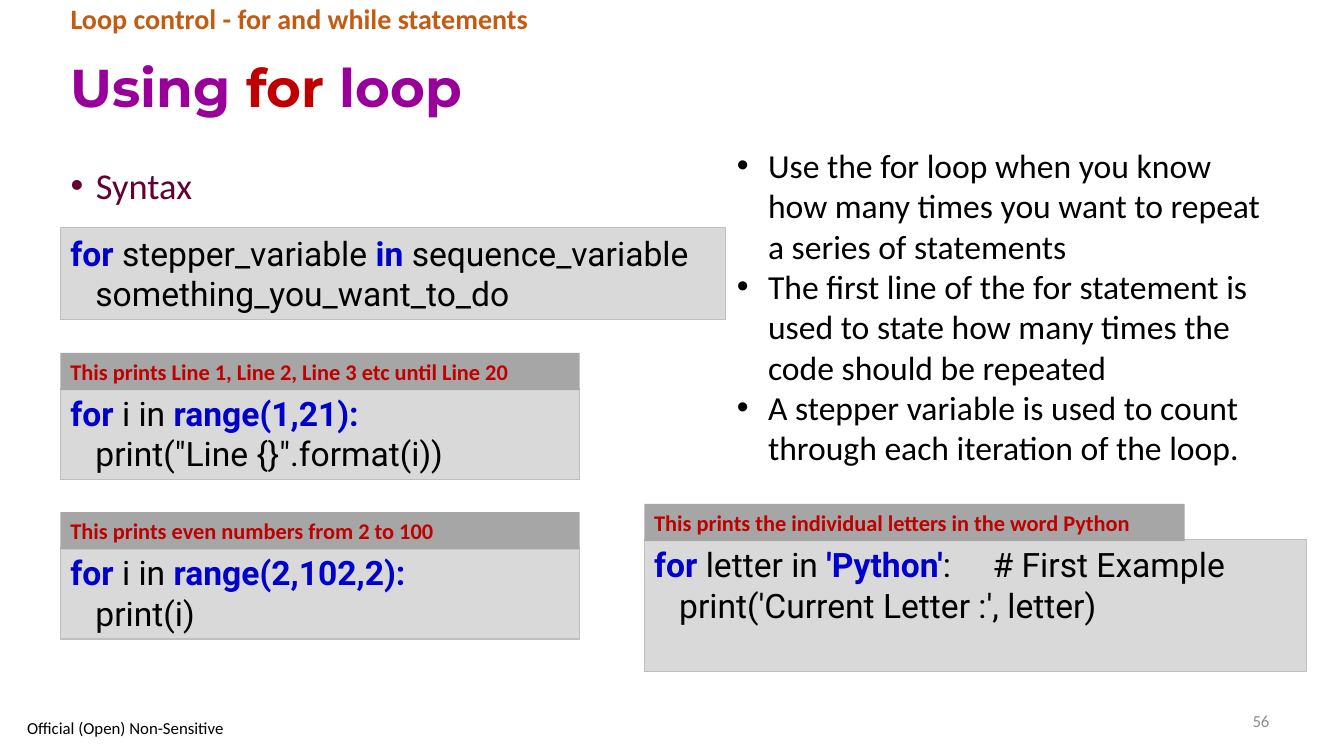
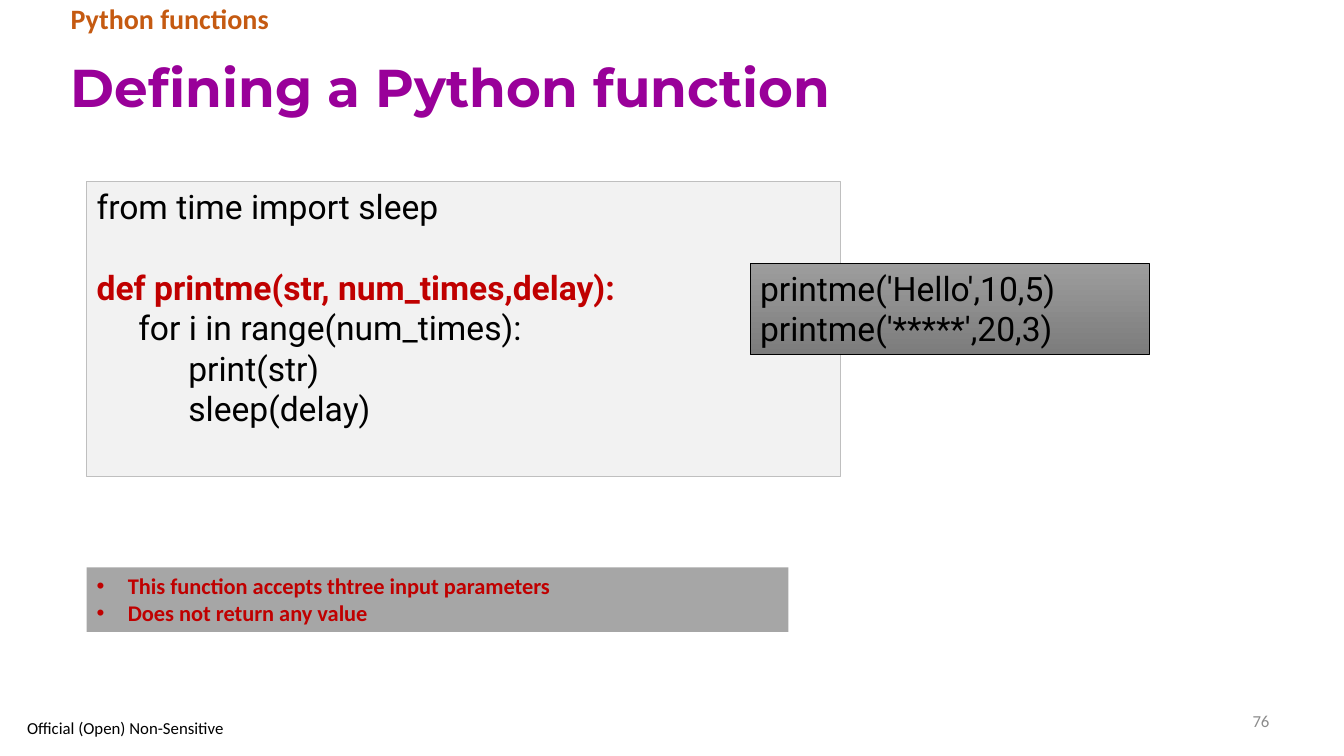
from pptx import Presentation
from pptx.dml.color import RGBColor
from pptx.enum.shapes import MSO_SHAPE as Shape
from pptx.enum.text import MSO_ANCHOR as Anchor, MSO_AUTO_SIZE as AutoSize, PP_ALIGN as Align
from pptx.oxml.ns import qn
from pptx.util import Inches, Pt
from lxml.etree import SubElement

COLORS = {
    "purple": "990099", "red": "C00000", "orange": "C55A11", "plum": "660033",
    "blue": "0000CC", "black": "000000", "number": "8C8C8C",
    "label": "A6A6A6", "code": "D9D9D9", "paper": "F2F2F2", "edge": "BFBFBF",
    "call_top": "9D9D9D", "call_bottom": "7C7C7C",
}

STYLES = {
    "title": ("Montserrat", 38, "purple", True),
    "title_key": ("Montserrat", 38, "red", True),
    "kicker": ("Calibri", 20, "orange", True),
    "topic": ("Calibri", 26, "plum", False),
    "point": ("Calibri", 24, "black", False),
    "label": ("Calibri", 16, "red", True),
    "footer": ("Calibri", 12, "black", False),
    "number": ("Calibri", 12, "number", False),
    "code": ("Roboto", 24, "black", False),
    "key": ("Roboto", 24, "blue", True),
    "def": ("Roboto", 24, "red", True),
}

TITLE_BOX = (0.6, 0.41, 12.09, 0.97)
KICKER_BOX = (0.6, 0, 10.34, 0.41)
TOPIC_BOX = (0.6, 1.57, 12.09, 0.74)
POINTS_BOX = (7.21, 1.39, 5.47, 3.33)
NUMBER_BOX = (9.42, 6.95, 3.27, 0.4)
FOOTER_BOX = (0.17, 7.09, 2.24, 0.26)
FOOTER = "Official (Open) Non-Sensitive"
LABEL_HEIGHT = 0.37

SYNTAX = [
    [("for", "key"), (" stepper_variable ", "code"), ("in", "key"), (" sequence_variable", "code")],
    [("   something_you_want_to_do", "code")],
]
LOOP_POINTS = [
    "Use the for loop when you know how many times you want to repeat a series of statements",
    "The first line of the for statement is used to state how many times the code should be repeated",
    "A stepper variable is used to count through each iteration of the loop.",
]
EXAMPLES = [
    ("This prints Line 1, Line 2, Line 3 etc until Line 20", (0.6, 3.85, 5.15, 0.91), 5.15, [
        [("for", "key"), (" i in ", "code"), ("range(1,21):", "key")],
        [('   print("Line {}".format(i))', "code")],
    ]),
    ("This prints even numbers from 2 to 100", (0.6, 5.43, 5.15, 0.91), 5.15, [
        [("for", "key"), (" i in ", "code"), ("range(2,102,2):", "key")],
        [("   print(i)", "code")],
    ]),
    ("This prints the individual letters in the word Python", (6.39, 5.35, 6.57, 1.31), 5.36, [
        [("for", "key"), (" letter in ", "code"), ("'Python'", "key"), (":     # First Example", "code")],
        [("   print('Current Letter :', letter)", "code")],
    ]),
]
FUNCTION = [
    [("from time import sleep", "code")],
    [("", "code")],
    [("def printme(str, num_times,delay):", "def")],
    [("     for i in range(num_times):", "code")],
    [("           print(str)", "code")],
    [("           sleep(delay)", "code")],
]
CALLS = [[("printme('Hello',10,5)", "code")], [("printme('*****',20,3)", "code")]]
FUNCTION_NOTES = ["This function accepts thtree input parameters", "Does not return any value"]


def color(name):
    return RGBColor.from_string(COLORS[name])


def plain(lines, style):
    return [[(line, style)] for line in lines]


def style_font(font, style):
    font.name, size, ink, font.bold = STYLES[style]
    font.size = Pt(size)
    font.color.rgb = color(ink)


def set_bullet(paragraph, indent):
    properties = paragraph._p.get_or_add_pPr()
    properties.set("marL", str(Inches(indent)))
    properties.set("indent", str(-Inches(indent)))
    if indent:
        SubElement(properties, qn("a:buFont"), typeface="Arial")
        SubElement(properties, qn("a:buChar"), char="•")
    else:
        SubElement(properties, qn("a:buNone"))


def write(shape, lines, indent=0, align=Align.LEFT, anchor=Anchor.TOP, spacing=1.0):
    frame = shape.text_frame
    frame.word_wrap = True
    frame.auto_size = AutoSize.NONE
    frame.vertical_anchor = anchor
    for index, line in enumerate(lines):
        paragraph = frame.add_paragraph() if index else frame.paragraphs[0]
        set_bullet(paragraph, indent)
        paragraph.alignment = align
        paragraph.line_spacing = spacing
        paragraph.space_before = Pt(0)
        style_font(paragraph.font, line[0][1])
        for text, style in line:
            if text:
                run = paragraph.add_run()
                run.text = text
                style_font(run.font, style)


def place(shape, box):
    shape.left, shape.top, shape.width, shape.height = map(Inches, box)
    return shape


def add_text(slide, box, lines, **layout):
    write(slide.shapes.add_textbox(*map(Inches, box)), lines, **layout)


def add_panel(slide, box, lines, fill, edge=None, width=0.75, indent=0):
    panel = slide.shapes.add_shape(Shape.RECTANGLE, *map(Inches, box))
    panel.shadow.inherit = False
    if isinstance(fill, tuple):
        panel.fill.gradient()
        panel.fill.gradient_angle = 270
        for stop, name in zip(panel.fill.gradient_stops, fill):
            stop.color.rgb = color(name)
    else:
        panel.fill.solid()
        panel.fill.fore_color.rgb = color(fill)
    if edge:
        panel.line.color.rgb = color(edge)
        panel.line.width = Pt(width)
    else:
        panel.line.fill.background()
    write(panel, lines, indent)


def add_example(slide, label, box, label_width, code):
    left, top, _, _ = box
    add_panel(slide, box, code, "code", "edge")
    label_box = (left, top - LABEL_HEIGHT + 0.02, label_width, LABEL_HEIGHT)
    add_panel(slide, label_box, plain([label], "label"), "label")


def start_slide(deck, layout, title, kicker, number):
    slide = deck.slides.add_slide(deck.slide_layouts.get_by_name(layout))
    write(place(slide.shapes.title, TITLE_BOX), [title], anchor=Anchor.MIDDLE, spacing=0.9)
    write(place(slide.placeholders[1], KICKER_BOX), plain([kicker], "kicker"), spacing=0.9)
    add_text(slide, NUMBER_BOX, plain([number], "number"), align=Align.RIGHT, anchor=Anchor.MIDDLE)
    add_text(slide, FOOTER_BOX, plain([FOOTER], "footer"), anchor=Anchor.MIDDLE)
    return slide


def build_loop_slide(deck):
    title = [("Using ", "title"), ("for", "title_key"), (" loop", "title")]
    slide = start_slide(deck, "Two Content", title, "Loop control - for and while statements", "56")
    write(place(slide.placeholders[2], TOPIC_BOX), plain(["Syntax"], "topic"), indent=0.25)
    add_panel(slide, (0.6, 2.26, 6.6, 0.91), SYNTAX, "code", "edge")
    add_text(slide, POINTS_BOX, plain(LOOP_POINTS, "point"), indent=0.31)
    for example in EXAMPLES:
        add_example(slide, *example)


def build_function_slide(deck):
    title = [("Defining a Python function", "title")]
    slide = start_slide(deck, "Title and Content", title, "Python functions", "76")
    add_panel(slide, (0.86, 1.8, 7.48, 2.93), FUNCTION, "paper", "edge")
    add_panel(slide, (0.86, 5.63, 6.96, 0.64), plain(FUNCTION_NOTES, "label"), "label", indent=0.31)
    add_panel(slide, (7.44, 2.61, 3.96, 0.91), CALLS, ("call_top", "call_bottom"), "black", 0.5)


def main():
    deck = Presentation()
    deck.slide_width, deck.slide_height = Inches(13.33), Inches(7.5)
    build_loop_slide(deck)
    build_function_slide(deck)
    deck.save("out.pptx")


if __name__ == "__main__":
    main()
